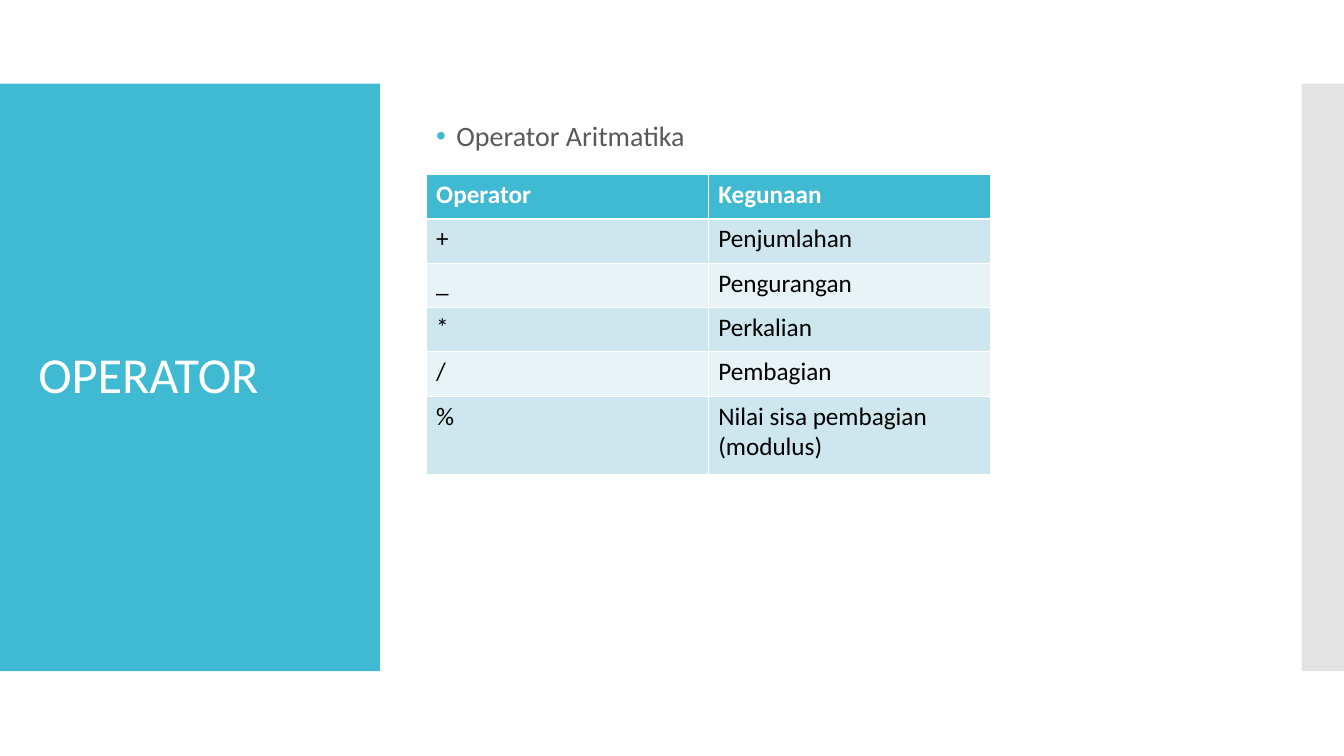
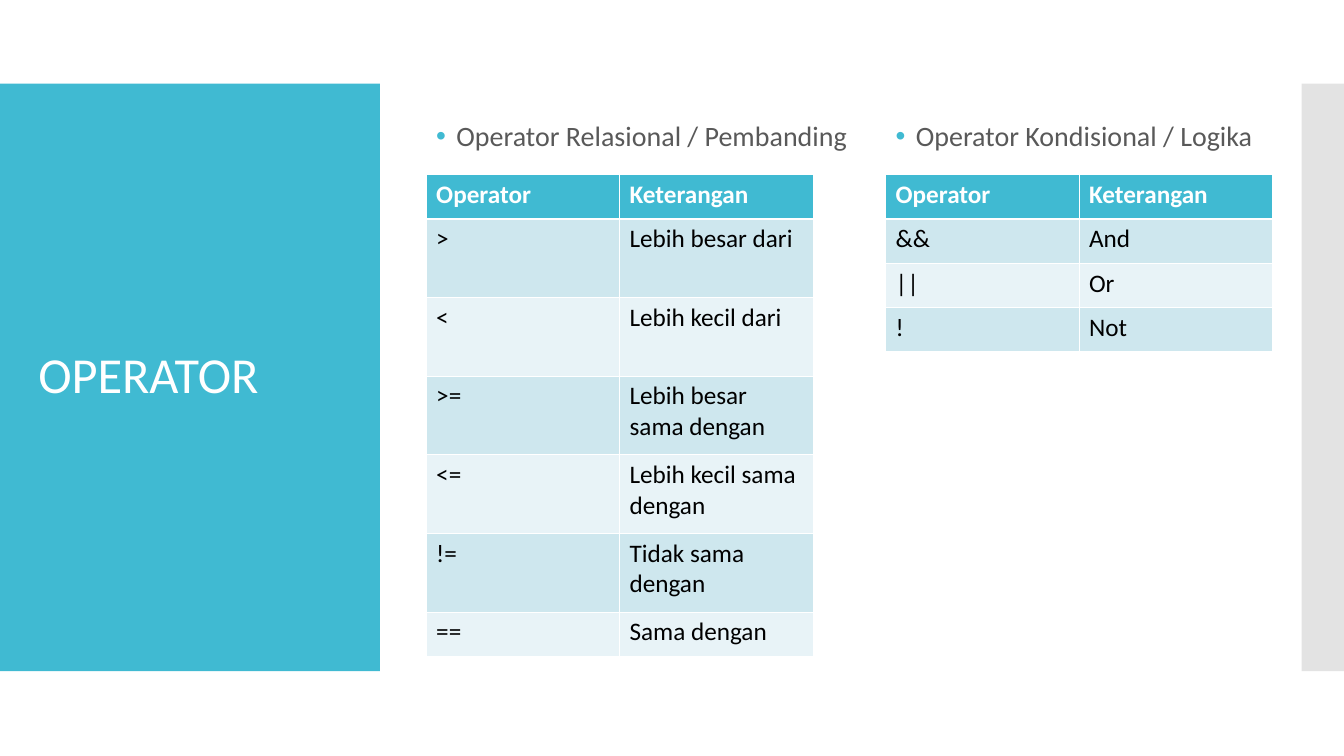
from dataclasses import dataclass

from lxml.etree import SubElement
from pptx import Presentation
from pptx.dml.color import RGBColor
from pptx.enum.text import MSO_ANCHOR, MSO_AUTO_SIZE, PP_ALIGN
from pptx.oxml import parse_xml
from pptx.oxml.ns import nsdecls, qn
from pptx.util import Inches, Pt

# Content: each slide has a title and sections of (heading, column width, rows)
SLIDES = [
    ("OPERATOR", [
        ("Operator Aritmatika", 2.8, [
            ("Operator", "Kegunaan"),
            ("+", "Penjumlahan"),
            ("_", "Pengurangan"),
            ("*", "Perkalian"),
            ("/", "Pembagian"),
            ("%", "Nilai sisa pembagian (modulus)"),
        ]),
    ]),
    ("OPERATOR", [
        ("Operator Relasional / Pembanding", 1.92, [
            ("Operator", "Keterangan"),
            (">", "Lebih besar dari"),
            ("<", "Lebih kecil dari"),
            (">=", "Lebih besar sama dengan"),
            ("<=", "Lebih kecil sama dengan"),
            ("!=", "Tidak sama dengan"),
            ("==", "Sama dengan"),
        ]),
        ("Operator Kondisional / Logika", 1.92, [
            ("Operator", "Keterangan"),
            ("&&", "And"),
            ("||", "Or"),
            ("!", "Not"),
        ]),
    ]),
]


@dataclass(frozen=True)
class Theme:
    font: str = "Calibri"
    accent: str = "40BAD2"
    edge: str = "C8C8C8"
    white: str = "FFFFFF"
    heading: str = "595959"
    body: str = "000000"
    stripes: tuple = ("E8F3F7", "CEE7EE")
    title_size: float = 36
    heading_size: float = 20
    cell_size: float = 18
    rule: float = 0.45
    header_rule: float = 1.47


THEME = Theme()

# Layout, in inches
SLIDE_W, SLIDE_H = 13.34, 7.5
BAND_TOP, BAND_H = 0.83, 5.83
TITLE_BAND_W, EDGE_W = 3.77, 0.42
TITLE_BOX = (0.28, 1.23, 3.22, 5.03)
SECTION_LEFT, SECTION_STEP = 4.23, 4.56
HEADING_TOP, HEADING_W, HEADING_H = 1.11, 4.4, 0.5
TABLE_TOP = 1.73
ROW_H, TALL_ROW_H = 0.44, 0.78
CHARS_PER_INCH = 8


def color(value):
    return RGBColor.from_string(value)


def place(shape, box):
    shape.left, shape.top, shape.width, shape.height = map(Inches, box)


def style(paragraph, size, ink, bold=False):
    font = paragraph.font
    font.name, font.size, font.bold = THEME.font, Pt(size), bold
    font.color.rgb = color(ink)


def add_master_band(master, left, width, fill, alpha=None):
    tree = master.shapes.element
    next_id = max(shape.shape_id for shape in master.shapes) + 1
    tree.add_autoshape(next_id, f"Band {next_id}", "rect",
                       *map(Inches, (left, BAND_TOP, width, BAND_H)))
    band = master.shapes[-1]
    band.shadow.inherit = False
    band.fill.solid()
    band.fill.fore_color.rgb = color(fill)
    band.line.fill.background()
    if alpha:
        srgb = band.element.spPr.find(f".//{qn('a:srgbClr')}")
        SubElement(srgb, qn("a:alpha"), val=str(alpha * 1000))


def fill_placeholder(holder, box, text, size, ink):
    place(holder, box)
    frame = holder.text_frame
    frame.text = text
    frame.word_wrap = True
    frame.auto_size = MSO_AUTO_SIZE.NONE
    frame.vertical_anchor = MSO_ANCHOR.MIDDLE
    paragraph = frame.paragraphs[0]
    paragraph.alignment = PP_ALIGN.LEFT
    paragraph.line_spacing = 0.9
    paragraph.space_before = Pt(0)
    style(paragraph, size, ink)
    return paragraph


def add_bullet(paragraph):
    props = paragraph._p.get_or_add_pPr()
    props.set("marL", str(Inches(0.2)))
    props.set("indent", str(-Inches(0.2)))
    bullet_color = SubElement(props, qn("a:buClr"))
    SubElement(bullet_color, qn("a:srgbClr"), val=THEME.accent)
    SubElement(props, qn("a:buChar"), char="•")


def set_borders(cell, top, bottom):
    props = cell._tc.get_or_add_tcPr()
    widths = {"lnL": THEME.rule, "lnR": THEME.rule, "lnT": top, "lnB": bottom}
    for position, (side, width) in enumerate(widths.items()):
        props.insert(position, parse_xml(
            f'<a:{side} {nsdecls("a")} w="{Pt(width)}"><a:solidFill>'
            f'<a:srgbClr val="{THEME.white}"/></a:solidFill></a:{side}>'))


def add_operator_table(slide, left, col_w, rows):
    heights = [TALL_ROW_H if len(use) > col_w * CHARS_PER_INCH else ROW_H
               for _, use in rows]
    columns = len(rows[0])
    table = slide.shapes.add_table(
        len(rows), columns, Inches(left), Inches(TABLE_TOP),
        Inches(col_w * columns), Inches(sum(heights))).table
    for column in table.columns:
        column.width = Inches(col_w)
    for r, (texts, height) in enumerate(zip(rows, heights)):
        table.rows[r].height = Inches(height)
        header = r == 0
        for c, text in enumerate(texts):
            cell = table.cell(r, c)
            cell.text = text
            cell.fill.solid()
            cell.fill.fore_color.rgb = color(
                THEME.accent if header else THEME.stripes[r % 2])
            style(cell.text_frame.paragraphs[0], THEME.cell_size,
                  THEME.white if header else THEME.body, bold=header)
            set_borders(cell,
                        THEME.header_rule if r == 1 else THEME.rule,
                        THEME.header_rule if header else THEME.rule)


def add_operator_slide(prs, title, sections):
    # Layout 1 has one body, layout 3 has two
    layout = prs.slide_layouts[1 if len(sections) == 1 else 3]
    slide = prs.slides.add_slide(layout)
    fill_placeholder(slide.shapes.title, TITLE_BOX, title,
                     THEME.title_size, THEME.white)
    for i, (heading, col_w, rows) in enumerate(sections):
        left = SECTION_LEFT + i * SECTION_STEP
        heading_line = fill_placeholder(
            slide.placeholders[i + 1],
            (left, HEADING_TOP, HEADING_W, HEADING_H),
            heading, THEME.heading_size, THEME.heading)
        add_bullet(heading_line)
        add_operator_table(slide, left, col_w, rows)


def main():
    prs = Presentation()
    prs.slide_width, prs.slide_height = Inches(SLIDE_W), Inches(SLIDE_H)
    # Shared bands
    add_master_band(prs.slide_master, 0, TITLE_BAND_W, THEME.accent)
    add_master_band(prs.slide_master, SLIDE_W - EDGE_W, EDGE_W,
                    THEME.edge, alpha=50)
    for title, sections in SLIDES:
        add_operator_slide(prs, title, sections)
    prs.save("out.pptx")


if __name__ == "__main__":
    main()
